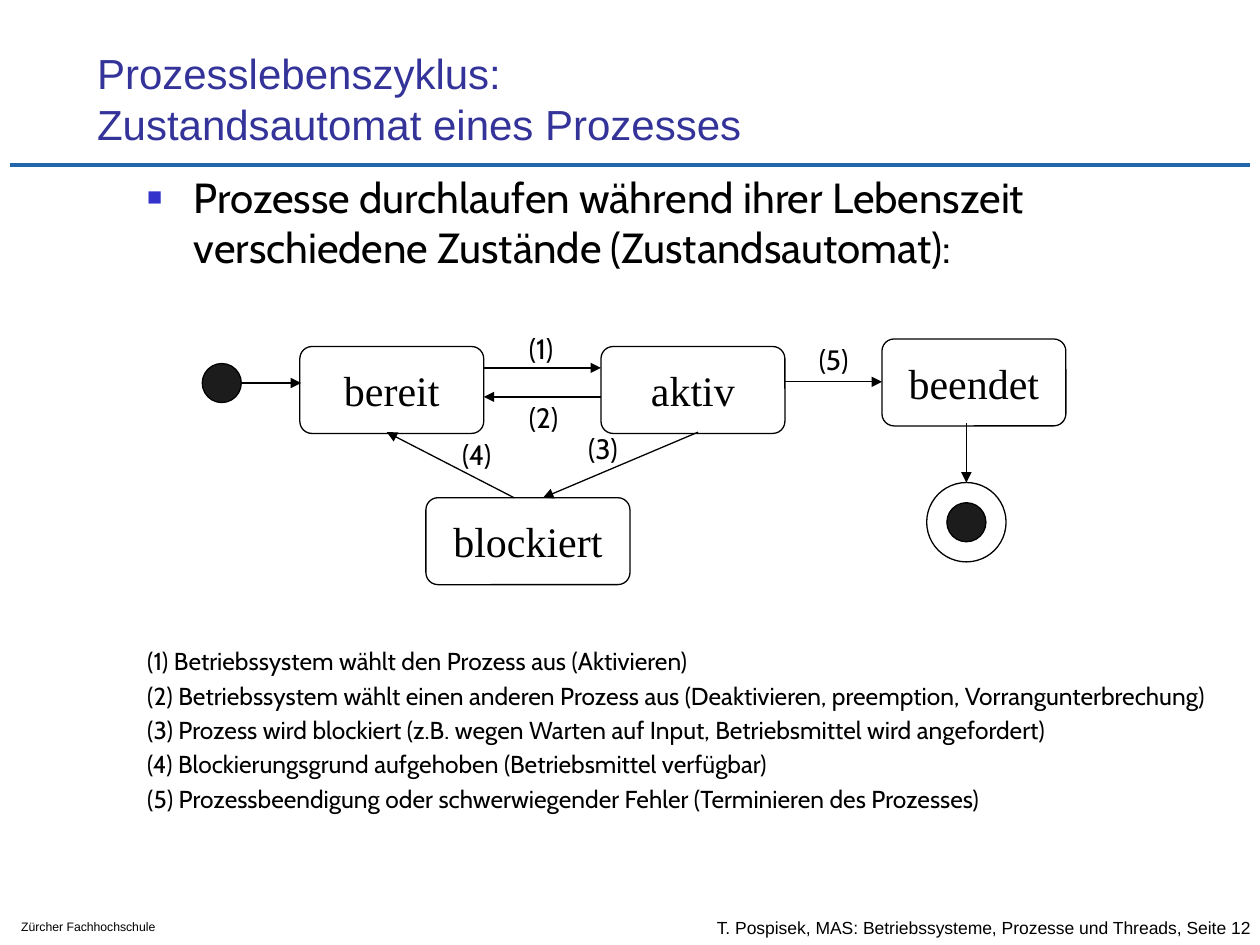
from dataclasses import dataclass

from lxml.etree import SubElement
from pptx import Presentation
from pptx.dml.color import RGBColor
from pptx.enum.shapes import MSO_CONNECTOR, MSO_SHAPE
from pptx.enum.text import MSO_ANCHOR, MSO_AUTO_SIZE, PP_ALIGN
from pptx.oxml.ns import qn
from pptx.util import Emu, Inches, Pt

COLORS = {"title": "333399", "bullet": "3333CC", "rule": "2266AB",
          "ink": "000000", "paper": "FFFFFF", "dot": "1C1C1C"}
COLUMNS, ROWS = 100, 75
SLIDE_W, SLIDE_H = Inches(10), Inches(7.5)
STATE_H, STATE_W = 6.9, 14.6
DOT, RING = 3.1, 6.3


@dataclass(frozen=True)
class Box:
    """An area in grid columns and rows."""
    col: float
    row: float
    cols: float
    rows: float

    def emu(self) -> tuple[Emu, ...]:
        return (*grid_point(self.col, self.row), *grid_point(self.cols, self.rows))


@dataclass(frozen=True)
class State:
    name: str
    col: float
    row: float
    cols: float = STATE_W


@dataclass(frozen=True)
class Arrow:
    start: tuple[float, float]
    end: tuple[float, float]


@dataclass(frozen=True)
class Label:
    number: int
    col: float
    row: float


STATES = [State("bereit", 23.8, 27.5), State("aktiv", 47.7, 27.5),
          State("blockiert", 33.8, 39.5, 16.2), State("beendet", 70, 26.9)]
ARROWS = [Arrow((47.7, 31.5), (38.4, 31.5)), Arrow((38.4, 29.2), (47.7, 29.2)),
          Arrow((62.3, 30.3), (70, 30.3)), Arrow((55.4, 34.3), (43.1, 39.5)),
          Arrow((40.8, 39.5), (30.7, 34.3)), Arrow((19.2, 30.4), (23.9, 30.4)),
          Arrow((76.7, 33.6), (76.7, 38.3))]
LABELS = [Label(1, 41, 25.8), Label(2, 41, 31.3), Label(3, 45.7, 33.8),
          Label(4, 35.7, 34.2), Label(5, 64, 26.7)]
TRANSITIONS = [
    "Betriebssystem wählt den Prozess aus (Aktivieren)",
    "Betriebssystem wählt einen anderen Prozess aus "
    "(Deaktivieren, preemption, Vorrangunterbrechung)",
    "Prozess wird blockiert (z.B. wegen Warten auf Input, "
    "Betriebsmittel wird angefordert)",
    "Blockierungsgrund aufgehoben (Betriebsmittel verfügbar)",
    "Prozessbeendigung oder schwerwiegender Fehler (Terminieren des Prozesses)",
]


def grid_point(col: float, row: float) -> tuple[Emu, Emu]:
    return Emu(round(SLIDE_W * col / COLUMNS)), Emu(round(SLIDE_H * row / ROWS))


def color(name: str) -> RGBColor:
    return RGBColor.from_string(COLORS[name])


def write(shape, lines: list[str], size: float, font: str, ink: str = "ink",
          before: float = 0, align=PP_ALIGN.LEFT, **frame_format) -> None:
    """Fill a shape with paragraphs; frame_format overrides the frame defaults."""
    frame = shape.text_frame
    frame.text = "\n".join(lines)
    frame_values = {"margin_left": Inches(0.1), "margin_right": Inches(0.1),
                    "margin_top": Inches(0.05), "margin_bottom": Inches(0.05),
                    "auto_size": MSO_AUTO_SIZE.NONE, "word_wrap": True,
                    "vertical_anchor": MSO_ANCHOR.TOP} | frame_format
    for key, value in frame_values.items():
        setattr(frame, key, value)
    for paragraph in frame.paragraphs:
        paragraph.alignment = align
        paragraph.space_before = Pt(before)
        for run in paragraph.runs:
            for key, value in {"size": Pt(size), "name": font}.items():
                setattr(run.font, key, value)
            run.font.color.rgb = color(ink)


def add_text(slide, box: Box, lines: list[str], size: float, font: str, **text_format):
    text = slide.shapes.add_textbox(*box.emu())
    write(text, lines, size, font, **text_format)
    return text


def hang(paragraph, bullet: str = "") -> None:
    """Give a paragraph a hanging indent and, if asked, a bullet."""
    properties = paragraph._p.get_or_add_pPr()
    properties.set("marL", str(Inches(0.38)))
    properties.set("indent", str(Inches(-0.37)))
    if bullet:
        tint = SubElement(properties, qn("a:buClr"))
        SubElement(tint, qn("a:srgbClr"), val=COLORS["bullet"])
        SubElement(properties, qn("a:buSzPct"), val="60000")
        SubElement(properties, qn("a:buFont"), typeface="Arial")
        SubElement(properties, qn("a:buChar"), char=bullet)


def add_outlined(slide, preset: MSO_SHAPE, box: Box, fill: str):
    shape = slide.shapes.add_shape(preset, *box.emu())
    shape.shadow.inherit = False
    shape.fill.solid()
    shape.fill.fore_color.rgb = color(fill)
    shape.line.color.rgb = color("ink")
    shape.line.width = Pt(0.75)
    return shape


def add_state(slide, state: State) -> None:
    box = Box(state.col, state.row, state.cols, STATE_H)
    shape = add_outlined(slide, MSO_SHAPE.ROUNDED_RECTANGLE, box, "paper")
    shape.adjustments[0] = 0.14
    write(shape, [state.name], 24, "Times New Roman", align=PP_ALIGN.CENTER,
          word_wrap=False, vertical_anchor=MSO_ANCHOR.MIDDLE)


def add_circle(slide, center: tuple[float, float], size: float, fill: str) -> None:
    col, row = (value - size / 2 for value in center)
    add_outlined(slide, MSO_SHAPE.OVAL, Box(col, row, size, size), fill)


def add_line(slide, path: Arrow, ink: str = "ink", width: float = 0.75,
             head: bool = True) -> None:
    line = slide.shapes.add_connector(
        MSO_CONNECTOR.STRAIGHT, *grid_point(*path.start), *grid_point(*path.end))
    line.line.color.rgb = color(ink)
    line.line.width = Pt(width)
    if head:
        SubElement(line.line._get_or_add_ln(), qn("a:tailEnd"), type="triangle")
    SubElement(line._element.spPr, qn("a:effectLst"))


def main() -> None:
    presentation = Presentation()
    presentation.slide_width, presentation.slide_height = SLIDE_W, SLIDE_H
    slide = presentation.slides.add_slide(presentation.slide_layouts[5])

    # Title and rule
    title = slide.shapes.title
    title.left, title.top, title.width, title.height = Box(6.7, 4.8, 85.2, 7.5).emu()
    write(title, ["Prozesslebenszyklus: \vZustandsautomat eines Prozesses"], 24,
          "Arial", ink="title", vertical_anchor=MSO_ANCHOR.BOTTOM)
    add_line(slide, Arrow((0.8, 13.1), (99.2, 13.1)), "rule", 2.5, head=False)

    # Footer
    add_text(slide, Box(55.9, 72, 52.9, 3.3),
             ["T. Pospisek, MAS: Betriebssysteme, Prozesse und Threads, Seite 12"],
             10, "Arial", vertical_anchor=MSO_ANCHOR.MIDDLE)
    add_text(slide, Box(0.7, 72.5, 17.2, 2.2), ["Zürcher Fachhochschule"], 7, "Arial")

    # Introduction and explanation of the transitions
    introduction = add_text(
        slide, Box(10.6, 13.1, 83.6, 10),
        ["Prozesse durchlaufen während ihrer Lebenszeit "
         "verschiedene Zustände (Zustandsautomat):"], 24, "Cabin", before=4.8)
    hang(introduction.text_frame.paragraphs[0], "■")
    legend = add_text(
        slide, Box(10.6, 50.8, 89.4, 16.7),
        [f"({number}) {text}" for number, text in enumerate(TRANSITIONS, 1)],
        14, "Cabin", before=2.8)
    for paragraph in legend.text_frame.paragraphs:
        hang(paragraph)

    # State machine
    for state in STATES:
        add_state(slide, state)
    add_circle(slide, (17.6, 30.4), DOT, "dot")
    for size, fill in ((RING, "paper"), (DOT, "dot")):
        add_circle(slide, (76.7, 41.45), size, fill)
    for arrow in ARROWS:
        add_line(slide, arrow)
    for label in LABELS:
        add_text(slide, Box(label.col, label.row, 4.6, 3.7), [f"({label.number})"],
                 16, "Cabin", word_wrap=False, auto_size=MSO_AUTO_SIZE.SHAPE_TO_FIT_TEXT)

    presentation.save("out.pptx")


if __name__ == "__main__":
    main()
